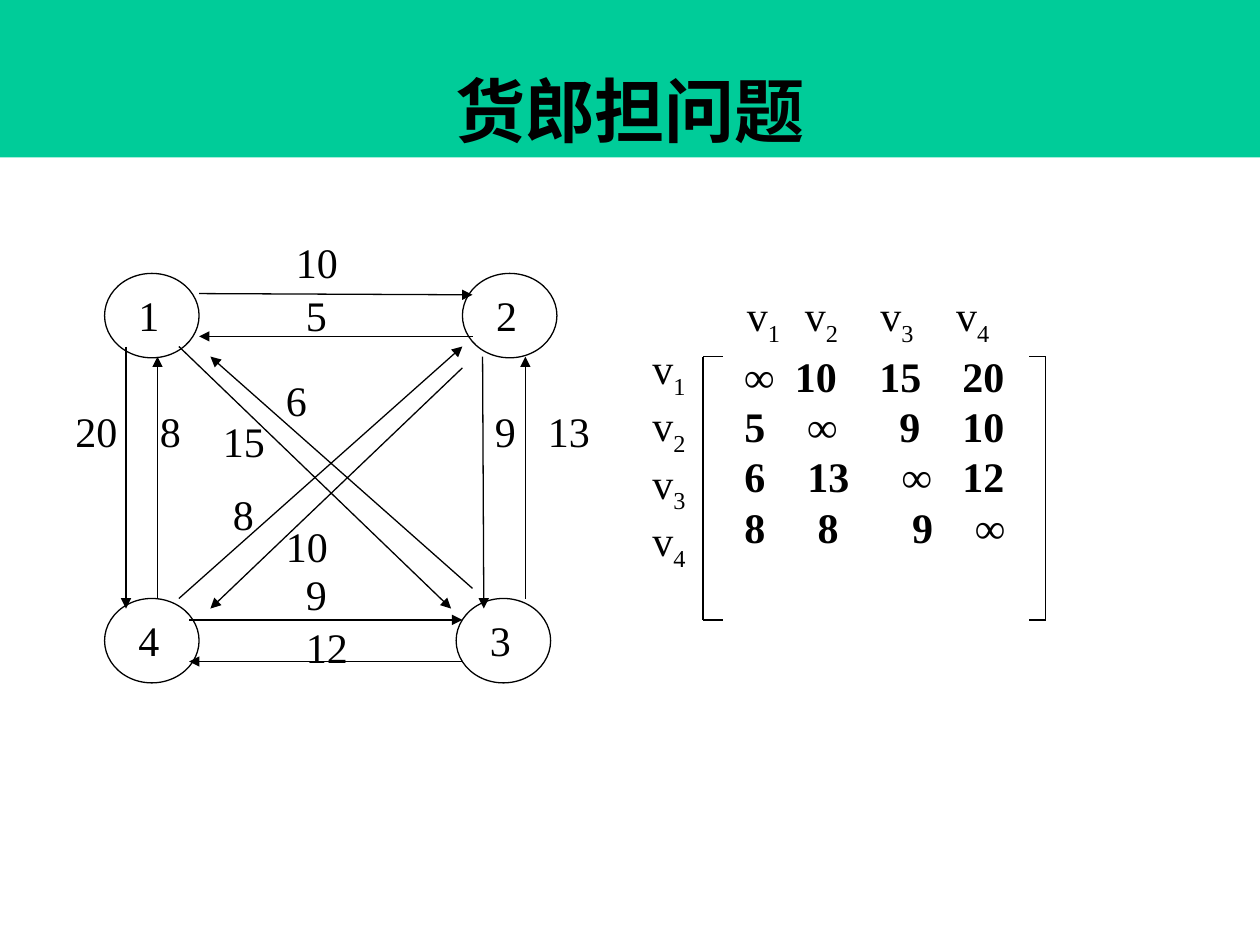
from dataclasses import dataclass
from typing import NamedTuple

from lxml import etree
from pptx import Presentation
from pptx import util as u
from pptx.dml.color import RGBColor
from pptx.enum import shapes, text
from pptx.oxml.ns import qn

Inches = u.Inches


@dataclass(frozen=True)
class Theme:
    band = RGBColor(0x00, 0xCC, 0x99)
    ink = RGBColor(0, 0, 0)
    font = "Times New Roman"
    title = u.Pt(40)
    body = u.Pt(24)
    line = u.Pt(0.75)


class Box(NamedTuple):
    left: float
    top: float
    width: float
    height: float

    def point(self, x, y):
        return Inches(self.left + x), Inches(self.top + y)


THEME = Theme()
LABEL_SIZE = (0.67, 0.5)
NODE_SIZE = (0.75, 0.67)

NODES = {"1": (0.33, 0.34), "2": (3.17, 0.34), "4": (0.33, 2.92), "3": (3.12, 2.92)}

# weight, arrow start, arrow end, label corner
EDGES = [
    ("10", (1.08, 0.50), (3.25, 0.51), (1.75, 0)),
    ("5", (3.25, 0.84), (1.08, 0.84), (1.83, 0.42)),
    ("9", (3.33, 1.00), (3.34, 3.00), (3.33, 1.34)),
    ("13", (3.67, 2.92), (3.67, 1.00), (3.75, 1.34)),
    ("20", (0.50, 0.92), (0.50, 3.00), (0, 1.34)),
    ("8", (0.75, 2.92), (0.75, 1.00), (0.67, 1.34)),
    ("9", (1.00, 3.09), (3.17, 3.09), (1.83, 2.63)),
    ("12", (3.17, 3.42), (1.00, 3.42), (1.83, 3.05)),
    ("15", (0.92, 0.92), (3.08, 3.00), (1.17, 1.42)),
    ("6", (3.25, 2.84), (1.17, 1.00), (1.67, 1.09)),
    ("8", (0.92, 2.92), (3.17, 0.92), (1.25, 2.00)),
    ("10", (3.17, 1.09), (1.17, 3.00), (1.67, 2.25)),
]

# entries of a matrix row, tab stops of the entries after the first
MATRIX = [
    (("∞", "10", "15", "20"), (0.40, 1.07, 1.73)),
    (("5", "∞", "9", "10"), (0.50, 1.23, 1.73)),
    (("6", "13", "∞", "12"), (0.50, 1.25, 1.73)),
    (("8", "8", "9", "∞"), (0.58, 1.33, 1.83)),
]


def set_values(target, values):
    for name, value in values.items():
        setattr(target, name, value)


def add_run(paragraph, words, subscript=False, **values):
    run = paragraph.add_run()
    run.text = words
    set_values(run.font, {"name": THEME.font, "size": THEME.body, **values})
    run.font.color.rgb = THEME.ink
    if subscript:
        run._r.get_or_add_rPr().set("baseline", "-25000")


def add_vertex(paragraph, number):
    add_run(paragraph, "v")
    add_run(paragraph, str(number), subscript=True)


def add_tab_stops(paragraph, stops):
    tab_list = etree.SubElement(paragraph._p.get_or_add_pPr(), qn("a:tabLst"))
    for stop in stops:
        etree.SubElement(tab_list, qn("a:tab"), pos=str(Inches(stop)), algn="l")


def add_paragraphs(group, origin, size, count=1):
    """Add a text box and return its paragraphs, still empty."""
    frame = group.shapes.add_textbox(*origin, *map(Inches, size)).text_frame
    frame.word_wrap = True
    return [frame.paragraphs[0]] + [frame.add_paragraph() for _ in range(count - 1)]


def add_label(group, origin, words):
    add_run(add_paragraphs(group, origin, LABEL_SIZE)[0], words)


def add_line(group, start, end, arrow=False):
    connector = group.shapes.add_connector(shapes.MSO_CONNECTOR.STRAIGHT, *start, *end)
    set_values(connector.line, {"width": THEME.line})
    connector.line.color.rgb = THEME.ink
    if arrow:
        etree.SubElement(connector.line._get_or_add_ln(), qn("a:tailEnd"), type="triangle")
    etree.SubElement(connector._element.spPr, qn("a:effectLst"))


def add_title(slide, box, words):
    band = slide.shapes.add_shape(
        shapes.MSO_SHAPE.RECTANGLE, *box.point(0, 0), Inches(box.width), Inches(box.height))
    band.shadow.inherit = False
    band.fill.solid()
    band.fill.fore_color.rgb = THEME.band
    band.line.fill.background()
    band.text_frame.vertical_anchor = text.MSO_ANCHOR.BOTTOM
    paragraph = band.text_frame.paragraphs[0]
    paragraph.alignment = text.PP_ALIGN.CENTER
    add_run(paragraph, words, size=THEME.title, bold=True)


def add_graph(slide, box):
    group = slide.shapes.add_group_shape()
    for name, (x, y) in NODES.items():
        node = group.shapes.add_shape(
            shapes.MSO_SHAPE.OVAL, *box.point(x, y), *map(Inches, NODE_SIZE))
        node.shadow.inherit = False
        node.fill.background()
        node.line.color.rgb = THEME.ink
        node.line.width = THEME.line
        add_label(group, box.point(x + 0.17, y + 0.08), name)
    for weight, start, end, corner in EDGES:
        add_line(group, box.point(*start), box.point(*end), arrow=True)
        add_label(group, box.point(*corner), weight)


def add_bracket(group, box, x, tick):
    top, bottom = 0.58, box.height - 0.05
    add_line(group, box.point(x, top), box.point(x, bottom))
    for y in (top, bottom):
        add_line(group, box.point(x, y), box.point(x + tick, y))


def add_matrix(slide, box):
    """Draw the bracketed cost matrix with its row and column names."""
    group = slide.shapes.add_group_shape()
    add_bracket(group, box, 0.5, 0.16)
    add_bracket(group, box, 3.22, -0.13)

    rows = add_paragraphs(group, box.point(0.73, 0.48), (3.05, 2.3), len(MATRIX))
    for paragraph, (entries, stops) in zip(rows, MATRIX):
        add_tab_stops(paragraph, stops)
        add_run(paragraph, "\t".join(entries), bold=True)

    names = add_paragraphs(group, box.point(0, 0.42), (0.67, 2.3), len(MATRIX))
    for number, paragraph in enumerate(names, 1):
        add_vertex(paragraph, number)

    header = add_paragraphs(group, box.point(0.75, 0), (2.33, 0.5))[0]
    add_tab_stops(header, (0.46, 1.06, 1.66))
    for number in range(1, len(MATRIX) + 1):
        if number > 1:
            add_run(header, "\t")
        add_vertex(header, number)


def main():
    presentation = Presentation()
    set_values(presentation, {"slide_width": Inches(10), "slide_height": Inches(7.5)})
    slide = presentation.slides.add_slide(presentation.slide_layouts[6])
    add_title(slide, Box(0, 0, 10, 1.25), "货郎担问题")
    add_graph(slide, Box(0.5, 1.83, 4.42, 3.59))
    add_matrix(slide, Box(5.08, 2.25, 3.78, 2.72))
    presentation.save("out.pptx")


if __name__ == "__main__":
    main()
